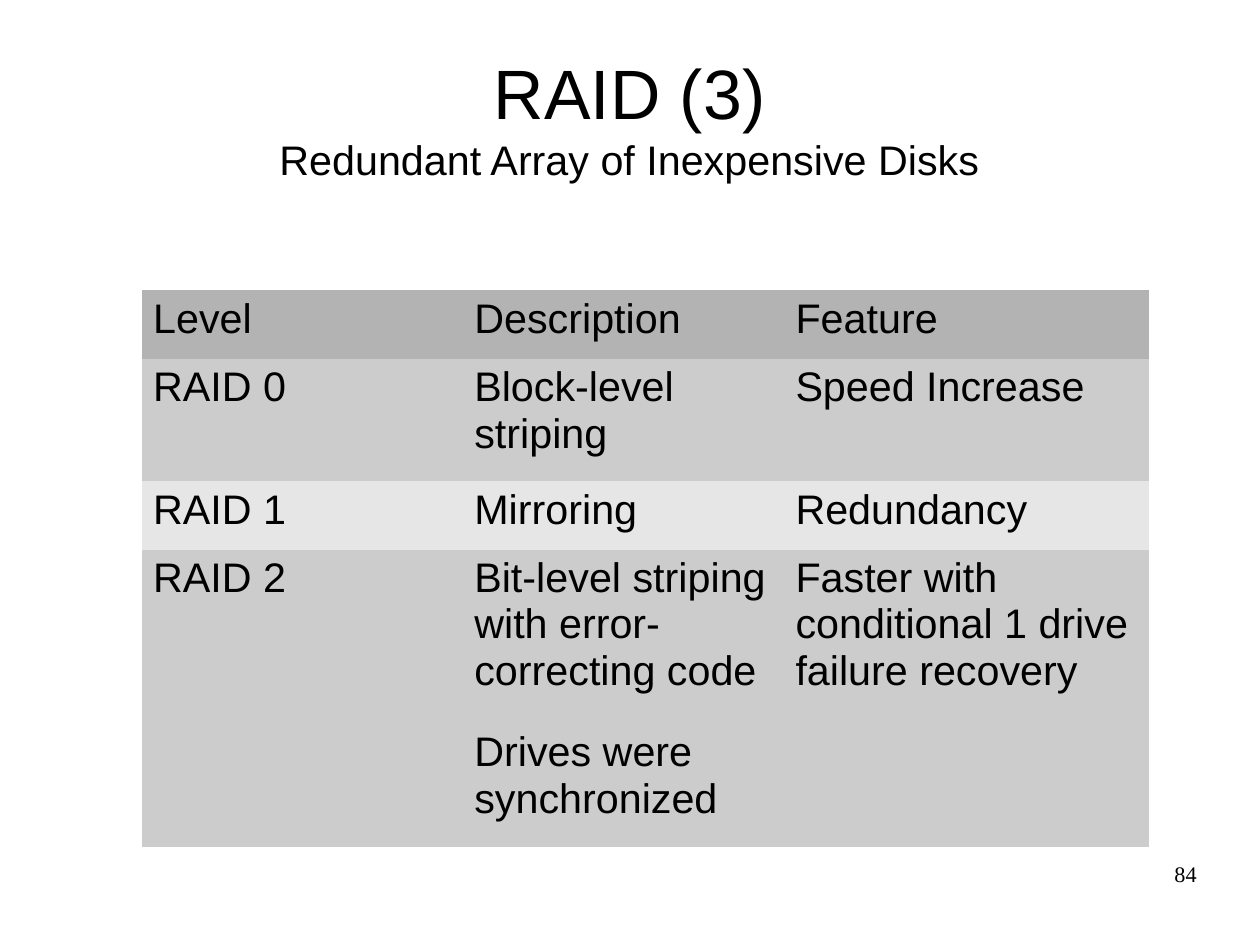
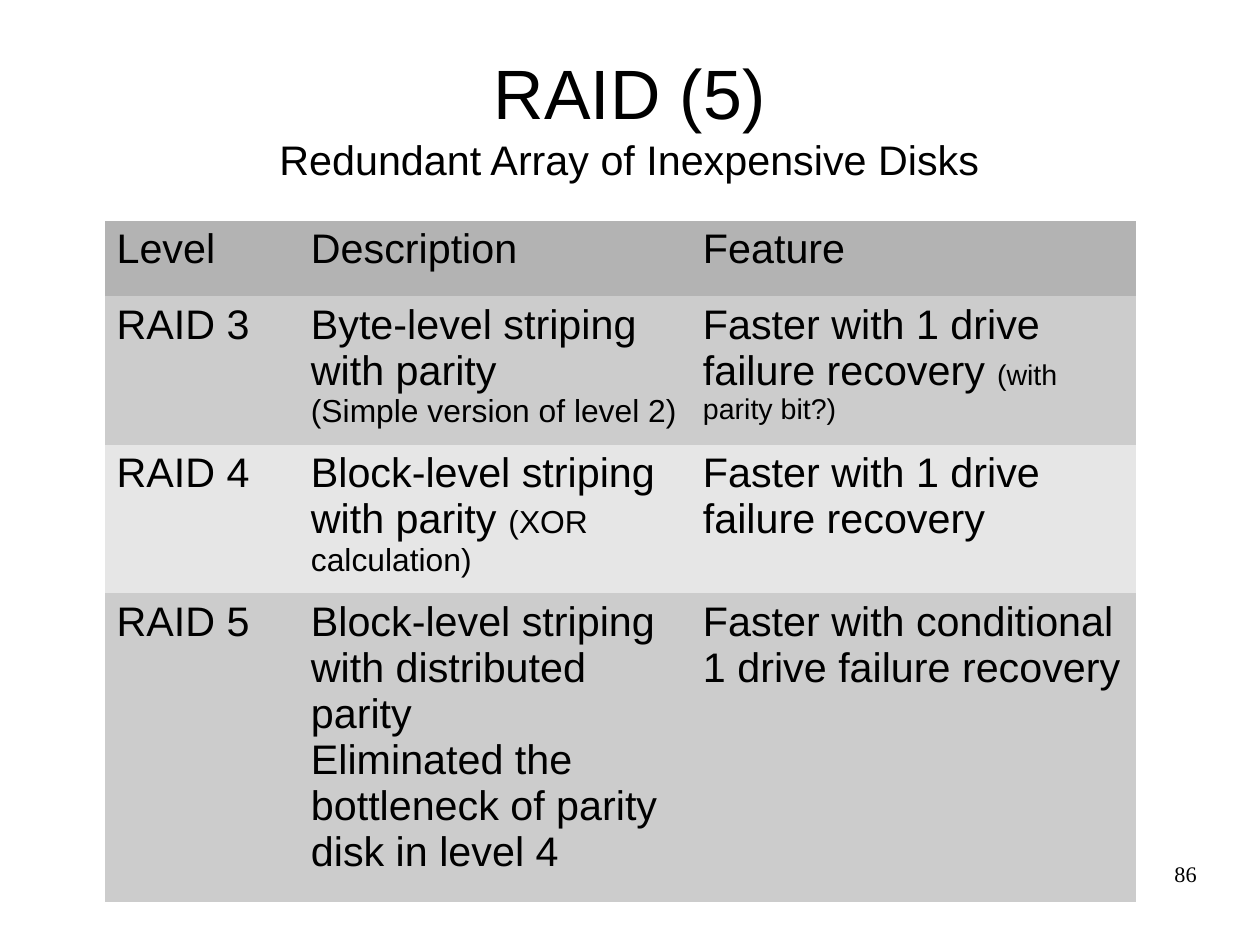
from pptx import Presentation
from pptx.dml.color import RGBColor
from pptx.enum.text import MSO_ANCHOR, PP_ALIGN
from pptx.util import Inches, Pt

# Shared style
BLACK = RGBColor(0x00, 0x00, 0x00)
HEAD = RGBColor(0xB3, 0xB3, 0xB3)
BANDS = (RGBColor(0xCC, 0xCC, 0xCC), RGBColor(0xE6, 0xE6, 0xE6))
SANS, SERIF = "Arial", "Times New Roman"
BIG, BODY, NOTE, TINY, PAGE = 44, 26, 20, 18, 14
NO_STYLE = "{2D5ABB26-0587-4C30-8999-92F81FD0307C}"
SUB = "Redundant Array of Inexpensive Disks"
LABELS = ("Level", "Description", "Feature")

# The page is 28 by 21 centimetres
WIDE, HIGH = Inches(28 / 2.54), Inches(21 / 2.54)

# Cells: a string, or a list of paragraphs made of (text, size) runs
RAID_A = [
    LABELS,
    ("RAID 0", "Block-level striping", "Speed Increase"),
    ("RAID 1", "Mirroring", "Redundancy"),
    ("RAID 2",
     [[("Bit-level striping with error-correcting code", BODY)],
      [("Drives were synchronized", BODY)]],
     "Faster with conditional 1 drive failure recovery"),
]
RAID_B = [
    LABELS,
    ("RAID 3",
     [[("Byte-level striping with parity", BODY)],
      [("(Simple version of level 2)", NOTE)]],
     [[("Faster with 1 drive failure recovery ", BODY),
       ("(with parity bit?)", TINY)]]),
    ("RAID 4",
     [[("Block-level striping with parity ", BODY),
       ("(XOR calculation)", NOTE)]],
     "Faster with 1 drive failure recovery"),
    ("RAID 5",
     [[("Block-level striping with distributed parity", BODY)],
      [("Eliminated the bottleneck of parity disk in level 4", BODY)]],
     "Faster with conditional 1 drive failure recovery"),
]


def style(run, size, face=SANS):
    run.font.size = Pt(size)
    run.font.name = face
    run.font.color.rgb = BLACK


def add_text(slide, box, text, align, sizes, face=SANS, anchor=MSO_ANCHOR.TOP):
    """Add a box without margins; sizes go to its runs in turn."""
    frame = slide.shapes.add_textbox(*map(Inches, box)).text_frame
    frame.word_wrap = True
    frame.vertical_anchor = anchor
    frame.margin_left = frame.margin_right = 0
    frame.margin_top = frame.margin_bottom = 0
    para = frame.paragraphs[0]
    para.text = text
    para.alignment = align
    for run, size in zip(para.runs, sizes):
        style(run, size, face)


def fill_cell(cell, value, color, gap):
    cell.fill.solid()
    cell.fill.fore_color.rgb = color
    paras = [[(value, BODY)]] if isinstance(value, str) else value
    frame = cell.text_frame
    for i, parts in enumerate(paras):
        para = frame.add_paragraph() if i else frame.paragraphs[0]
        if i and gap:
            para.space_before = Pt(gap)
        for text, size in parts:
            run = para.add_run()
            run.text = text
            style(run, size)


def add_grid(slide, left, top, widths, heights, rows, gap=0):
    table = slide.shapes.add_table(
        len(rows), len(widths), Inches(left), Inches(top),
        Inches(sum(widths)), Inches(sum(heights))).table
    table.first_row = table.horz_banding = False
    table._tbl.tblPr[0].text = NO_STYLE
    for col, width in zip(table.columns, widths):
        col.width = Inches(width)
    for r, (row, height) in enumerate(zip(rows, heights)):
        table.rows[r].height = Inches(height)
        color = BANDS[(r - 1) % 2] if r else HEAD
        for c, value in enumerate(row):
            fill_cell(table.cell(r, c), value, color, gap)


def add_page(deck, title, number):
    """Add a slide with the shared title and page number."""
    slide = deck.slides.add_slide(deck.slide_layouts[6])
    add_text(slide, (0.55, 0.33, 9.92, 1.38), f"{title}\v{SUB}",
             PP_ALIGN.CENTER, (BIG, BODY), anchor=MSO_ANCHOR.MIDDLE)
    add_text(slide, (7.9, 7.53, 2.57, 0.57), number,
             PP_ALIGN.RIGHT, (PAGE,), SERIF)
    return slide


def main():
    deck = Presentation()
    deck.slide_width, deck.slide_height = WIDE, HIGH

    # Levels 0 to 2
    slide = add_page(deck, "RAID (3)", "84")
    add_grid(slide, 1.24, 2.54, (2.81, 2.81, 3.19),
             (0.6, 1.07, 0.6, 2.6), RAID_A, gap=22.5)

    # Levels 3 to 5
    slide = add_page(deck, "RAID (5)", "86")
    add_grid(slide, 0.92, 1.93, (1.7, 3.43, 3.89),
             (0.66, 1.3, 1.3, 2.7), RAID_B)

    deck.save("out.pptx")


if __name__ == "__main__":
    main()
